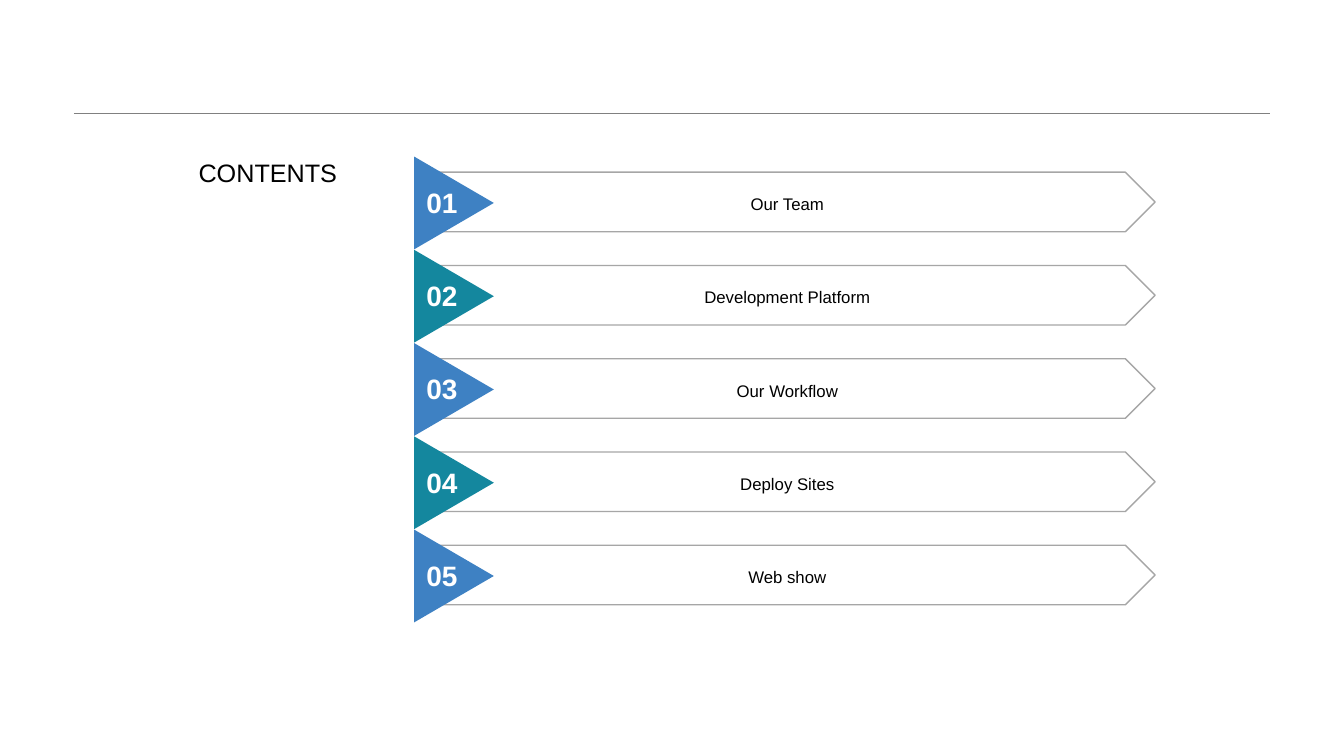
from lxml import etree
from pptx import Presentation
from pptx.dml.color import RGBColor
from pptx.enum.shapes import MSO_CONNECTOR, MSO_SHAPE
from pptx.enum.text import MSO_ANCHOR, MSO_AUTO_SIZE, PP_ALIGN
from pptx.oxml.ns import qn
from pptx.util import Cm, Pt

COLORS = {
    "rule": "808080",
    "outline": "A6A6A6",
    "blue": "3E81C3",
    "teal": "14879E",
    "text": "000000",
    "number": "FFFFFF",
}
CHAPTERS = ["Our Team", "Development Platform", "Our Workflow", "Deploy Sites", "Web show"]
ROW_PITCH = 2.35


def color(name):
    return RGBColor.from_string(COLORS[name])


def write(shape, text, size, color_name, align=PP_ALIGN.CENTER, bold=False):
    """Put one formatted paragraph into the shape and return the paragraph."""
    shape.text_frame.text = text
    paragraph = shape.text_frame.paragraphs[0]
    paragraph.alignment = align
    font = paragraph.runs[0].font
    font.name, font.size, font.bold = "Arial", Pt(size), bold
    font.color.rgb = color(color_name)
    return paragraph


prs = Presentation()
prs.slide_width, prs.slide_height = Cm(33.87), Cm(19.05)
slide = prs.slides.add_slide(prs.slide_layouts[5])
shapes = slide.shapes

rule = shapes.add_connector(MSO_CONNECTOR.STRAIGHT, Cm(1.86), Cm(2.86), Cm(32), Cm(2.86))
rule.line.color.rgb = color("rule")
rule.line.width = Pt(0.25)
etree.SubElement(rule._element.spPr, qn("a:effectLst"))

heading = shapes.title
heading.left, heading.top, heading.width, heading.height = Cm(4.75), Cm(3.84), Cm(5.69), Cm(1.02)
write(heading, "CONTENTS", 18, "text", PP_ALIGN.LEFT)
heading.text_frame.vertical_anchor = MSO_ANCHOR.TOP
heading.text_frame.auto_size = MSO_AUTO_SIZE.NONE

for row, chapter in enumerate(CHAPTERS):
    offset = row * ROW_PITCH

    banner = shapes.add_shape(
        MSO_SHAPE.PENTAGON, Cm(10.95), Cm(4.34 + offset), Cm(18.16), Cm(1.5))
    banner.shadow.inherit = False
    banner.fill.background()
    banner.line.color.rgb = color("outline")
    banner.line.width = Pt(1)
    banner.text_frame.vertical_anchor = MSO_ANCHOR.MIDDLE
    write(banner, chapter, 12, "text").line_spacing = 1.2

    marker = shapes.add_shape(
        MSO_SHAPE.ISOSCELES_TRIANGLE, Cm(10.27), Cm(4.11 + offset), Cm(2.34), Cm(2.01))
    marker.rotation = 90
    marker.shadow.inherit = False
    marker.fill.solid()
    marker.fill.fore_color.rgb = color("teal" if row % 2 else "blue")
    marker.line.fill.background()

    number = shapes.add_textbox(Cm(10.49), Cm(4.5 + offset), Cm(1.3), Cm(1.19))
    number.text_frame.margin_left = number.text_frame.margin_right = 0
    number.text_frame.word_wrap = True
    number.text_frame.vertical_anchor = MSO_ANCHOR.MIDDLE
    write(number, f"{row + 1:02}", 20, "number", bold=True)

prs.save("out.pptx")
